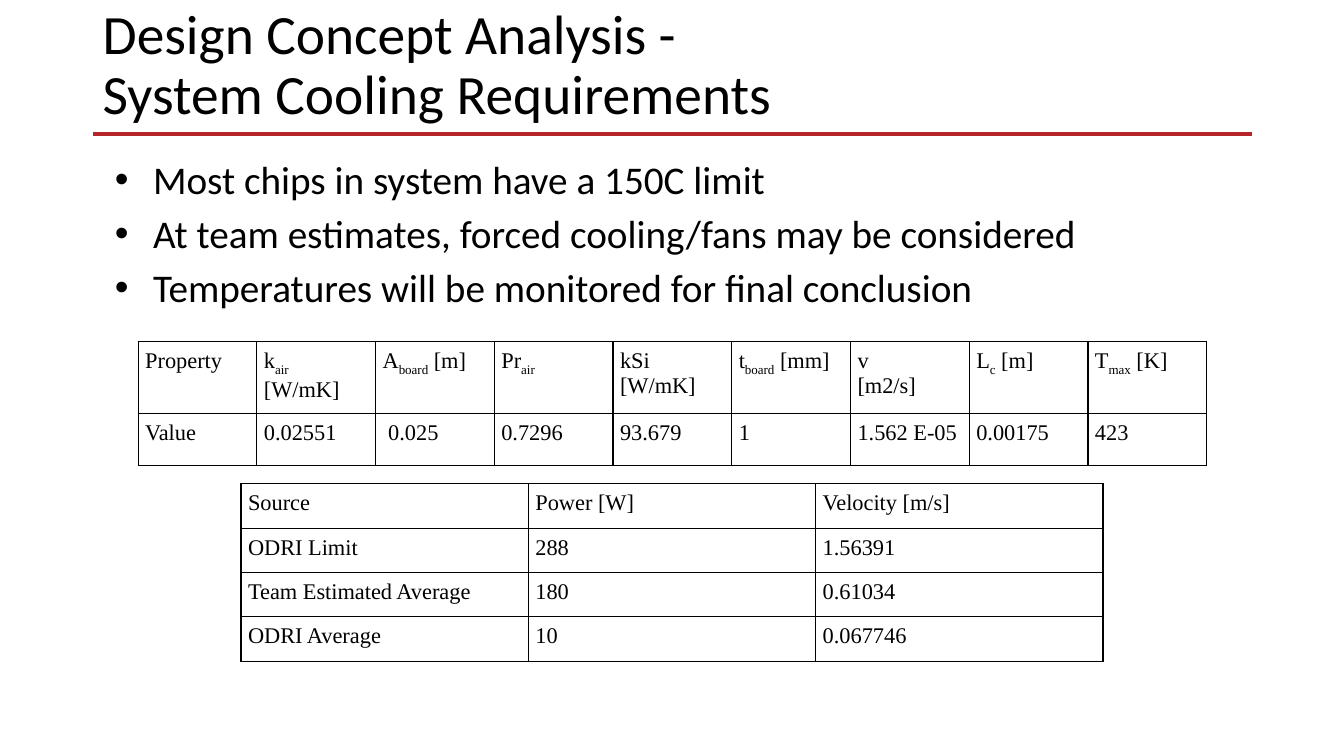
from lxml.etree import SubElement
from pptx import Presentation
from pptx.dml.color import RGBColor
from pptx.enum.shapes import MSO_CONNECTOR
from pptx.enum.text import MSO_ANCHOR
from pptx.oxml import parse_xml
from pptx.oxml.ns import nsdecls, qn
from pptx.util import Inches, Pt

BLACK = "000000"
RED = "B62527"

TITLE = ["Design Concept Analysis -", "System Cooling Requirements"]
POINTS = [
    "Most chips in system have a 150C limit",
    "At team estimates, forced cooling/fans may be considered",
    "Temperatures will be monitored for final conclusion",
]
AIR = [
    ["Property", "k_air_ [W/mK]", "A_board_ [m]", "Pr_air_", "kSi [W/mK]",
     "t_board_ [mm]", "v\n[m2/s]", "L_c_ [m]", "T_max_ [K]"],
    ["Value", "0.02551", " 0.025", "0.7296", "93.679", "1", "1.562 E-05",
     "0.00175", "423"],
]
POWER = [
    ["Source", "Power [W]", "Velocity [m/s]"],
    ["ODRI Limit", "288", "1.56391"],
    ["Team Estimated Average", "180", "0.61034"],
    ["ODRI Average", "10", "0.067746"],
]


def color(code):
    """Turn a hex string into a colour."""
    return RGBColor.from_string(code)


def bullet(para):
    """Give a paragraph a hanging round bullet."""
    props = para._p.get_or_add_pPr()
    props.set("marL", str(Inches(0.5)))
    props.set("indent", str(Inches(-0.38)))
    tint = SubElement(props, qn("a:buClr"))
    SubElement(tint, qn("a:srgbClr")).set("val", BLACK)
    SubElement(props, qn("a:buFont")).set("typeface", "Arial")
    SubElement(props, qn("a:buChar")).set("char", "•")


def write(frame, lines, size=16, font="Calibri", space=None, dots=False):
    """Write lines into a frame, with text between underscores as subscript."""
    frame.word_wrap = True
    for i, line in enumerate(lines):
        para = frame.add_paragraph() if i else frame.paragraphs[0]
        if dots:
            bullet(para)
        if space:
            para.line_spacing = space
        for j, part in enumerate(line.split("_")):
            if not part:
                continue
            run = para.add_run()
            run.text = part
            run.font.size = Pt(size)
            run.font.name = font
            run.font.color.rgb = color(BLACK)
            if j % 2:
                run.font._element.set("baseline", "-25000")


def border(cell):
    """Draw a thin black line on all four sides of a cell."""
    props = cell._tc.get_or_add_tcPr()
    for i, side in enumerate("LRTB"):
        props.insert(i, parse_xml(
            f'<a:ln{side} {nsdecls("a")} w="{Pt(1)}"><a:solidFill>'
            f'<a:srgbClr val="{BLACK}"/></a:solidFill></a:ln{side}>'))


def header(slide, left, top, width, height):
    """Place the title and the red rule below it."""
    box = slide.shapes.add_textbox(
        Inches(left), Inches(top), Inches(width), Inches(height))
    write(box.text_frame, TITLE, size=39.6, space=0.9)
    box.text_frame.vertical_anchor = MSO_ANCHOR.MIDDLE
    level = Inches(top + height + 0.26)
    rule = slide.shapes.add_connector(
        MSO_CONNECTOR.STRAIGHT, Inches(left), level,
        Inches(left + width), level)
    rule.line.color.rgb = color(RED)
    rule.line.width = Pt(2.25)
    SubElement(rule._element.spPr, qn("a:effectLst"))


def body(slide, left, top, width, height):
    """Place the bullet list."""
    box = slide.shapes.add_textbox(
        Inches(left), Inches(top), Inches(width), Inches(height))
    write(box.text_frame, POINTS, size=28, space=1.15, dots=True)


def grid(slide, data, left, top, width, heights):
    """Place a plain ruled table with equal columns."""
    count = len(data[0])
    table = slide.shapes.add_table(
        len(data), count, Inches(left), Inches(top),
        Inches(width), Inches(sum(heights))).table
    table.first_row = table.horz_banding = False
    for col in table.columns:
        col.width = Inches(width / count)
    for row, high, texts in zip(table.rows, heights, data):
        row.height = Inches(high)
        for cell, text in zip(row.cells, texts):
            cell.margin_left = cell.margin_right = Inches(0.07)
            cell.margin_top = cell.margin_bottom = Inches(0.07)
            cell.fill.background()
            border(cell)
            write(cell.text_frame, text.split("\n"), font="Times New Roman")


def main():
    """Build the slide and save it."""
    deck = Presentation()
    deck.slide_width = Inches(13.33)
    deck.slide_height = Inches(7.5)
    slide = deck.slides.add_slide(deck.slide_layouts[6])
    header(slide, 0.92, 0.25, 11.5, 0.82)
    body(slide, 0.92, 1.42, 11.5, 5.15)
    grid(slide, POWER, 2.39, 4.8, 8.55, [0.44] * 4)
    grid(slide, AIR, 1.37, 3.39, 10.6, [0.65, 0.52])
    deck.save("out.pptx")


if __name__ == "__main__":
    main()
